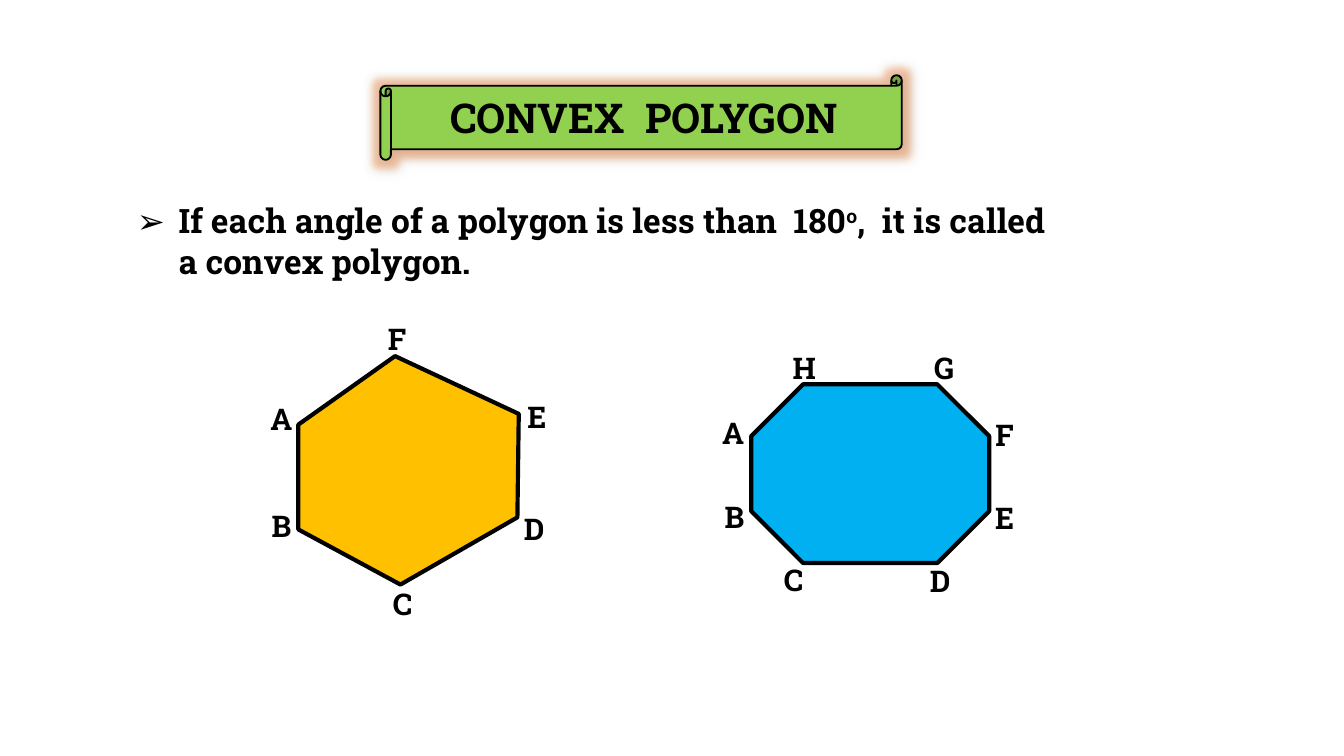
"""Build a slide that defines convex polygons with two labelled examples."""
from dataclasses import dataclass

import lxml.etree
import pptx
import pptx.dml.color
import pptx.enum.shapes
import pptx.enum.text
import pptx.oxml
import pptx.oxml.ns
import pptx.util

Inches = pptx.util.Inches
Pt = pptx.util.Pt
Align = pptx.enum.text.PP_ALIGN
Preset = pptx.enum.shapes.MSO_SHAPE

COLOURS = {
    "ink": "000000",
    "hexagon": "FFC000",
    "octagon": "00B0F0",
    "scroll": "92D050",
    "glow": "ED7D31",
}
FONT = "Roboto Slab"
LABEL_SIZE = 0.37
OUTLINE = 2.25
PAGE_WIDTH = Inches(10)


@dataclass(frozen=True)
class Label:
    """Vertex letter with the top left corner of its box in inches."""
    text: str
    left: float
    top: float


HEXAGON_POINTS = [(2.94, 2.65), (2.22, 3.16), (2.22, 3.94),
                  (2.98, 4.35), (3.85, 3.85), (3.86, 3.08)]
HEXAGON_LABELS = [
    Label("A", 1.91, 2.93), Label("B", 1.91, 3.73), Label("C", 2.81, 4.31),
    Label("D", 3.79, 3.75), Label("E", 3.81, 2.92), Label("F", 2.77, 2.34),
]
OCTAGON_LABELS = [
    Label("A", 5.27, 3.04), Label("B", 5.28, 3.66), Label("C", 5.72, 4.13),
    Label("D", 6.81, 4.14), Label("F", 7.29, 3.05), Label("G", 6.84, 2.55),
    Label("E", 7.29, 3.67), Label("H", 5.80, 2.55),
]


def colour(name: str) -> pptx.dml.color.RGBColor:
    """Return the named colour."""
    return pptx.dml.color.RGBColor.from_string(COLOURS[name])


def set_all(target, values: dict) -> None:
    """Set every attribute in values on target."""
    for name, value in values.items():
        setattr(target, name, value)


def paint(shape, fill: str, width: float) -> None:
    """Give a shape a flat fill and a dark outline."""
    shape.shadow.inherit = False
    shape.fill.solid()
    shape.fill.fore_color.rgb = colour(fill)
    shape.line.color.rgb = colour("ink")
    shape.line.width = Pt(width)


def add_effect(shape, tag: str, name: str, alpha: int, values: dict) -> None:
    """Append a translucent effect to a shape; alpha is a percentage."""
    effects = shape._element.spPr.find(pptx.oxml.ns.qn("a:effectLst"))
    effect = lxml.etree.SubElement(effects, pptx.oxml.ns.qn(tag))
    for key, value in values.items():
        effect.set(key, str(value))
    tint = lxml.etree.SubElement(effect, pptx.oxml.ns.qn("a:srgbClr"))
    tint.set("val", COLOURS[name])
    opacity = lxml.etree.SubElement(tint, pptx.oxml.ns.qn("a:alpha"))
    opacity.set("val", str(alpha * 1000))


def write(para, text: str, size: float):
    """Add a bold span to a paragraph and return it."""
    span = para.add_run()
    span.text = text
    set_all(span.font, {"name": FONT, "size": Pt(size), "bold": True})
    span.font.color.rgb = colour("ink")
    return span


def add_labels(group, labels: list[Label]) -> None:
    """Place the vertex letters in a group."""
    for label in labels:
        box = group.shapes.add_textbox(Inches(label.left), Inches(label.top),
                                       Inches(LABEL_SIZE), Inches(LABEL_SIZE))
        box.text_frame.word_wrap = True
        para = box.text_frame.paragraphs[0]
        para.alignment = Align.CENTER
        write(para, label.text, 16)


def add_hexagon(page) -> None:
    """Draw the irregular hexagon and its labels."""
    group = page.shapes.add_group_shape()
    points = [(Inches(x), Inches(y)) for x, y in HEXAGON_POINTS]
    builder = group.shapes.build_freeform(*points[0])
    builder.add_line_segments(points[1:], close=True)
    paint(builder.convert_to_shape(), "hexagon", OUTLINE)
    add_labels(group, HEXAGON_LABELS)


def add_octagon(page) -> None:
    """Draw the octagon and its labels."""
    group = page.shapes.add_group_shape()
    octagon = group.shapes.add_shape(Preset.OCTAGON, Inches(5.59), Inches(2.86),
                                     Inches(1.77), Inches(1.33))
    octagon.adjustments[0] = 0.29
    paint(octagon, "octagon", OUTLINE)
    add_labels(group, OCTAGON_LABELS)


def add_title(page) -> None:
    """Draw the glowing scroll with the title."""
    scroll = page.shapes.add_shape(Preset.HORIZONTAL_SCROLL, Inches(2.83),
                                   Inches(0.56), Inches(3.88), Inches(0.63))
    paint(scroll, "scroll", 1)
    add_effect(scroll, "a:glow", "glow", 40, {"rad": Pt(8)})
    add_effect(scroll, "a:outerShdw", "ink", 20,
               {"blurRad": Pt(6), "dist": Pt(1), "dir": 45 * 60000})
    set_all(scroll.text_frame, {
        "word_wrap": True, "margin_top": 0, "margin_bottom": 0,
        "vertical_anchor": pptx.enum.text.MSO_ANCHOR.MIDDLE,
    })
    para = scroll.text_frame.paragraphs[0]
    para.alignment = Align.CENTER
    write(para, "CONVEX  POLYGON", 22)


def add_definition(page) -> None:
    """Write the bulleted definition."""
    box = page.shapes.add_textbox(Inches(0.92), Inches(1.44),
                                  Inches(7.09), Inches(0.71))
    box.text_frame.word_wrap = True
    para = box.text_frame.paragraphs[0]
    properties = para._p.get_or_add_pPr()
    properties.set("marL", str(Inches(0.31)))
    properties.set("indent", str(-Inches(0.31)))
    for tag, key, value in (("a:buFont", "typeface", FONT),
                            ("a:buChar", "char", "➢")):
        lxml.etree.SubElement(properties, pptx.oxml.ns.qn(tag)).set(key, value)
    write(para, "If each angle of a polygon is less than  180", 18)
    degree = write(para, "o", 18)
    degree._r.get_or_add_rPr().set("baseline", "30000")
    write(para, ",  it is called a convex polygon.", 18)


def main() -> None:
    """Build and save the deck."""
    deck = pptx.Presentation()
    set_all(deck, {"slide_width": PAGE_WIDTH,
                   "slide_height": PAGE_WIDTH * 9 // 16})
    page = deck.slides.add_slide(deck.slide_layouts[6])
    add_hexagon(page)
    add_octagon(page)
    add_title(page)
    add_definition(page)
    deck.save("out.pptx")


if __name__ == "__main__":
    main()
